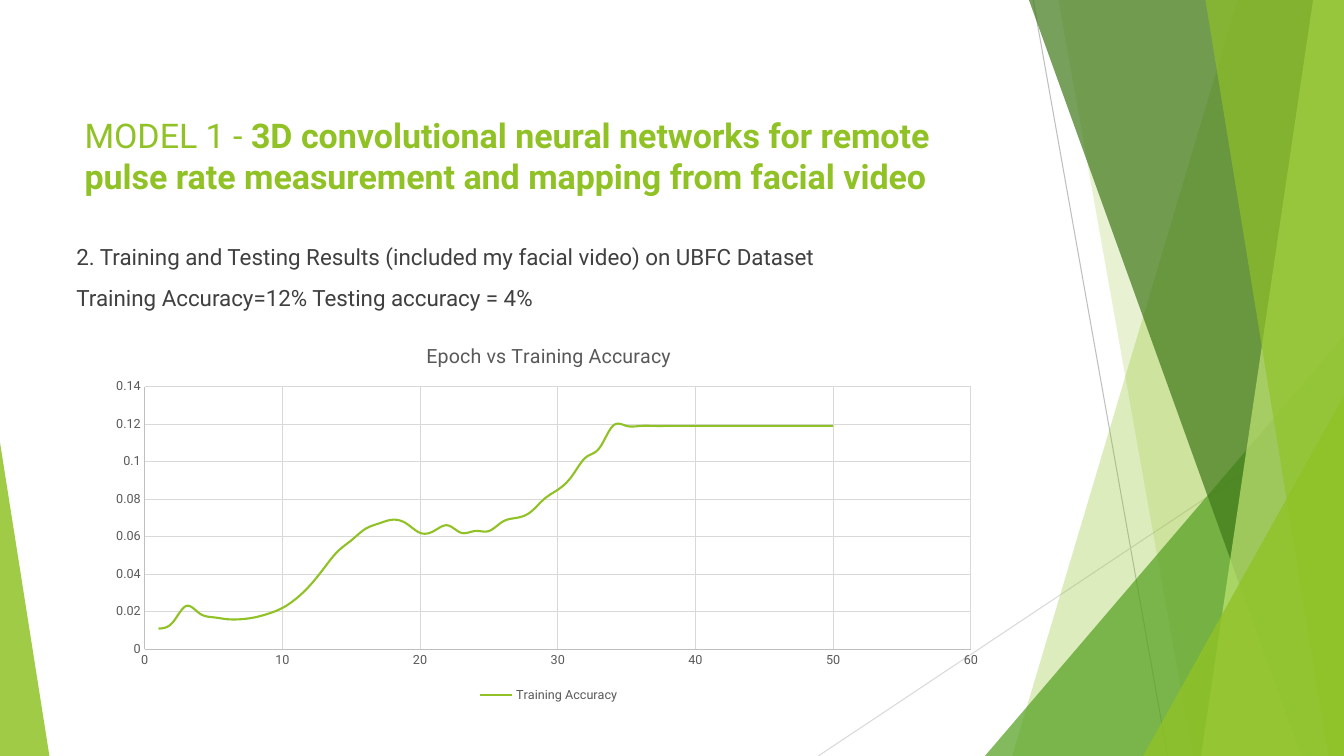
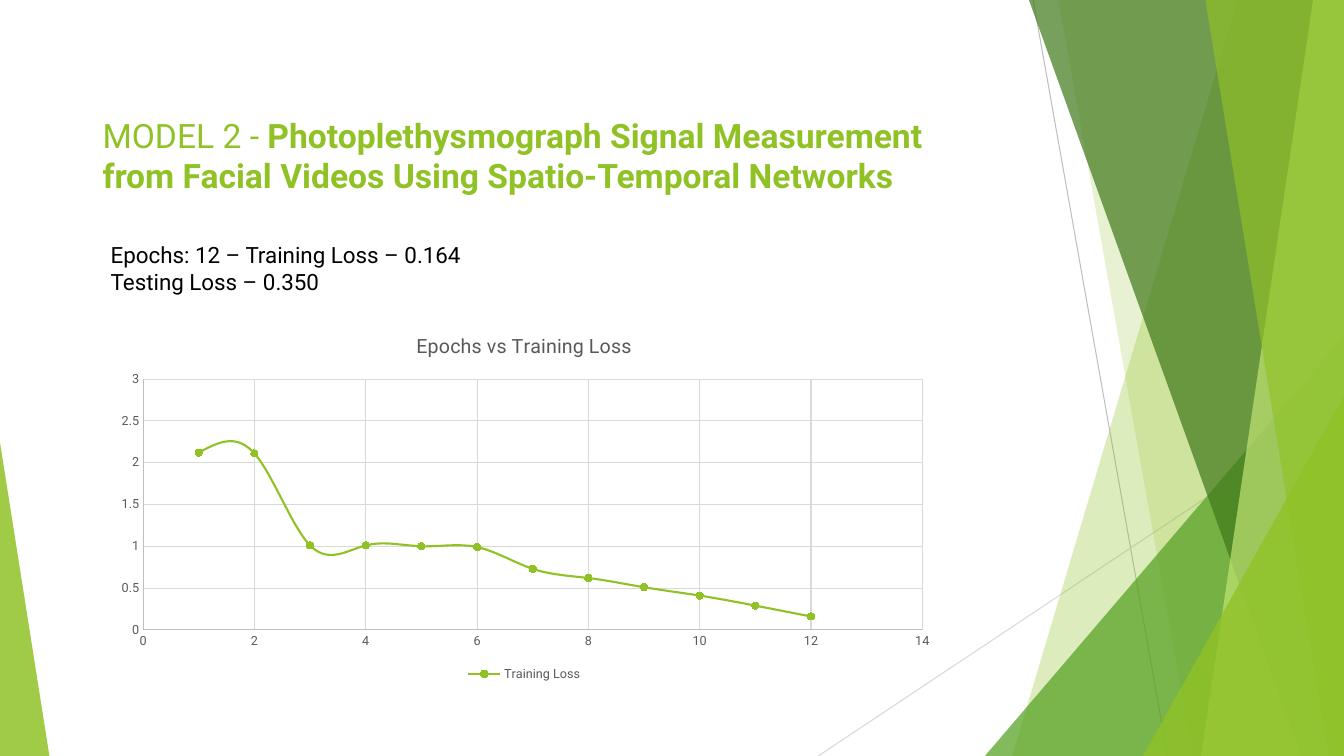
from dataclasses import dataclass
from typing import NamedTuple

from lxml import etree
from pptx import Presentation
from pptx.chart.data import XyChartData
from pptx.dml.color import RGBColor
from pptx.enum.chart import XL_CHART_TYPE as ChartType
from pptx.enum.chart import XL_LEGEND_POSITION as LegendPosition
from pptx.enum.chart import XL_MARKER_STYLE as MarkerStyle
from pptx.enum.chart import XL_TICK_MARK as TickMark
from pptx.enum.shapes import MSO_CONNECTOR as Connector
from pptx.enum.shapes import MSO_SHAPE as Shape
from pptx.oxml.ns import qn
from pptx.util import Pt

WIDTH, HEIGHT = 960, 540


@dataclass(frozen=True)
class Theme:
    font: str = "Roboto"
    lime: str = "90C226"
    pale_lime: str = "C0E474"
    green: str = "54A021"
    dark_green: str = "3F7819"
    black: str = "000000"
    body: str = "404040"
    label: str = "595959"
    axis: str = "BFBFBF"
    grid: str = "D9D9D9"
    body_size: float = 16
    chart_title_size: float = 14
    label_size: float = 9
    hairline: float = 0.75
    curve: float = 1.5
    marker_size: int = 5


THEME = Theme()


class Area(NamedTuple):
    left: float
    top: float
    width: float
    height: float


class Facet(NamedTuple):
    """Band from the slide's right edge to a slanted left side."""
    top_x: float
    bottom_x: float
    color: str
    opacity: int


class Wedge(NamedTuple):
    """Right triangle standing on the bottom edge."""
    left: float
    top: float
    width: float
    peak: float
    color: str
    opacity: int


class Ray(NamedTuple):
    start: tuple[float, float]
    end: tuple[float, float]
    color: str


class Span(NamedTuple):
    text: str
    bold: bool = False


class TextBlock(NamedTuple):
    area: Area
    paragraphs: list[list[Span]]
    size: float
    color: str
    gap: float = 0


class Scale(NamedTuple):
    maximum: float
    step: float


@dataclass(frozen=True)
class CurveChart:
    area: Area
    plot: Area  # fractions of the chart area
    title: str
    series: str
    values: list[float]
    across: Scale
    up: Scale
    markers: bool


@dataclass(frozen=True)
class ResultPage:
    title: TextBlock
    summary: TextBlock
    chart: CurveChart


# Shared backdrop, from back to front
BACKDROP = [
    Ray((738, 0), (834, HEIGHT), THEME.axis),
    Ray((WIDTH, 290), (584.5, HEIGHT), THEME.grid),
    Facet(884, 723, THEME.lime, 30),
    Facet(756, 852, THEME.lime, 20),
    Wedge(703.5, 240, 256.5, 1, THEME.green, 72),
    Facet(735, 929.5, THEME.dark_green, 70),
    Facet(938, 858, THEME.pale_lime, 70),
    Facet(861, 949, THEME.lime, 65),
    Wedge(816.5, 283, 143.5, 1, THEME.lime, 80),
    Wedge(0, 316, 35.3, 0, THEME.lime, 85),
]


def rgb(color: str) -> RGBColor:
    return RGBColor.from_string(color)


def points(*lengths: float) -> list[Pt]:
    return [Pt(length) for length in lengths]


def style_font(font, size: float, color: str) -> None:
    font.name = THEME.font
    font.size = Pt(size)
    font.color.rgb = rgb(color)


def style_line(line, color: str, width: float) -> None:
    line.color.rgb = rgb(color)
    line.width = Pt(width)


def tint(shape, color: str, opacity: int) -> None:
    shape.shadow.inherit = False
    shape.line.fill.background()
    shape.fill.solid()
    shape.fill.fore_color.rgb = rgb(color)
    fill_color = shape._element.spPr.find(".//" + qn("a:srgbClr"))
    etree.SubElement(fill_color, qn("a:alpha")).set("val", str(opacity * 1000))


def draw_ray(page, ray: Ray) -> None:
    line = page.shapes.add_connector(
        Connector.STRAIGHT, *points(*ray.start, *ray.end))
    style_line(line.line, ray.color, THEME.hairline)
    etree.SubElement(line._element.spPr, qn("a:effectLst"))


def draw_facet(page, facet: Facet) -> None:
    outline = page.shapes.build_freeform(Pt(facet.top_x), 0)
    outline.add_line_segments([
        points(WIDTH, 0), points(WIDTH, HEIGHT),
        points(facet.bottom_x, HEIGHT)], close=True)
    tint(outline.convert_to_shape(), facet.color, facet.opacity)


def draw_wedge(page, wedge: Wedge) -> None:
    triangle = page.shapes.add_shape(Shape.ISOSCELES_TRIANGLE, *points(
        wedge.left, wedge.top, wedge.width, HEIGHT - wedge.top))
    triangle.adjustments[0] = wedge.peak
    tint(triangle, wedge.color, wedge.opacity)


DRAWERS = {Ray: draw_ray, Facet: draw_facet, Wedge: draw_wedge}


def draw_text(page, block: TextBlock) -> None:
    frame = page.shapes.add_textbox(*points(*block.area)).text_frame
    frame.word_wrap = True
    for index, spans in enumerate(block.paragraphs):
        para = frame.add_paragraph() if index else frame.paragraphs[0]
        if index:
            para.space_before = Pt(block.gap)
        style_font(para.font, block.size, block.color)
        for span in spans:
            run = para.add_run()
            run.text = span.text
            style_font(run.font, block.size, block.color)
            run.font.bold = span.bold


def style_axis(axis, scale: Scale) -> None:
    axis.minimum_scale = 0
    axis.maximum_scale = scale.maximum
    axis.major_unit = scale.step
    axis.major_tick_mark = axis.minor_tick_mark = TickMark.NONE
    axis.has_major_gridlines = True
    style_line(axis.major_gridlines.format.line, THEME.grid, THEME.hairline)
    style_line(axis.format.line, THEME.axis, THEME.hairline)
    style_font(axis.tick_labels.font, THEME.label_size, THEME.label)


def place_plot(chart, plot: Area) -> None:
    plot_area = chart._chartSpace.chart.plotArea
    for old in plot_area.findall(qn("c:layout")):
        plot_area.remove(old)
    layout = etree.Element(qn("c:layout"))
    manual = etree.SubElement(layout, qn("c:manualLayout"))
    settings = dict(layoutTarget="inner", xMode="edge", yMode="edge",
                    x=plot.left, y=plot.top, w=plot.width, h=plot.height)
    for name, value in settings.items():
        etree.SubElement(manual, qn(f"c:{name}")).set("val", str(value))
    plot_area.insert(0, layout)


def draw_chart(page, curve: CurveChart) -> None:
    data = XyChartData()
    source = data.add_series(curve.series)
    for epoch, value in enumerate(curve.values, start=1):
        source.add_data_point(epoch, value)
    kind = (ChartType.XY_SCATTER_SMOOTH if curve.markers
            else ChartType.XY_SCATTER_SMOOTH_NO_MARKERS)
    chart = page.shapes.add_chart(kind, *points(*curve.area), data).chart
    style_font(chart.font, THEME.label_size, THEME.label)
    place_plot(chart, curve.plot)

    # Title and legend
    chart.has_title = True
    para = chart.chart_title.text_frame.paragraphs[0]
    run = para.add_run()
    run.text = curve.title
    for font in (para.font, run.font):
        style_font(font, THEME.chart_title_size, THEME.label)
        font.bold = False
    chart.has_legend = True
    chart.legend.position = LegendPosition.BOTTOM
    chart.legend.include_in_layout = False
    style_font(chart.legend.font, THEME.label_size, THEME.label)

    # Axes and curve
    style_axis(chart.category_axis, curve.across)
    style_axis(chart.value_axis, curve.up)
    chart.plots[0].vary_by_categories = False
    series = chart.plots[0].series[0]
    style_line(series.format.line, THEME.lime, THEME.curve)
    series._element.find(qn("c:smooth")).set("val", "1")
    if curve.markers:
        marker = series.marker
        marker.style = MarkerStyle.CIRCLE
        marker.size = THEME.marker_size
        marker.format.fill.solid()
        marker.format.fill.fore_color.rgb = rgb(THEME.lime)
        style_line(marker.format.line, THEME.lime, THEME.hairline)


PAGES = [
    ResultPage(
        title=TextBlock(Area(53.3, 78.5, 677, 91.5), [[
            Span("MODEL 1 - "),
            Span("3D convolutional neural networks for remote pulse rate "
                 "measurement and mapping from facial video", True)]],
            24.3, THEME.lime),
        summary=TextBlock(Area(47.5, 170, 677, 62), [
            [Span("2. Training and Testing Results (included my facial video) "
                  "on UBFC Dataset")],
            [Span("Training Accuracy=12% Testing accuracy = 4%")]],
            THEME.body_size, THEME.body, gap=10),
        chart=CurveChart(
            Area(71.3, 232.6, 641.5, 272), Area(0.05, 0.16, 0.92, 0.69),
            "Epoch vs Training Accuracy", "Training Accuracy",
            [0.011, 0.014, 0.023, 0.019, 0.017, 0.016, 0.016, 0.017, 0.019,
             0.022, 0.027, 0.034, 0.043, 0.052, 0.058, 0.064, 0.067, 0.069,
             0.067, 0.062, 0.063, 0.066, 0.062, 0.063, 0.063, 0.068, 0.07,
             0.073, 0.08, 0.085, 0.092, 0.102, 0.107] + [0.119] * 17,
            Scale(60, 10), Scale(0.14, 0.02), markers=False)),
    ResultPage(
        title=TextBlock(Area(66.2, 78.5, 631, 77), [[
            Span("MODEL 2 - "),
            Span("Photoplethysmograph Signal Measurement from Facial Videos "
                 "Using Spatio-Temporal Networks", True)]],
            24, THEME.lime),
        summary=TextBlock(Area(72, 168.5, 577.5, 46), [
            [Span("Epochs: 12 – Training Loss – 0.164")],
            [Span("Testing Loss – 0.350")]],
            THEME.body_size, THEME.black),
        chart=CurveChart(
            Area(72, 226, 605, 263.5), Area(0.05, 0.17, 0.92, 0.68),
            "Epochs vs Training Loss", "Training Loss",
            [2.12, 2.11, 1.01, 1.01, 1, 0.99,
             0.73, 0.62, 0.51, 0.41, 0.29, 0.16],
            Scale(14, 2), Scale(3, 0.5), markers=True)),
]


def main() -> None:
    deck = Presentation()
    deck.slide_width, deck.slide_height = points(WIDTH, HEIGHT)
    for content in PAGES:
        page = deck.slides.add_slide(deck.slide_layouts[6])
        for part in BACKDROP:
            DRAWERS[type(part)](page, part)
        draw_text(page, content.title)
        draw_text(page, content.summary)
        draw_chart(page, content.chart)
    deck.save("out.pptx")


if __name__ == "__main__":
    main()
